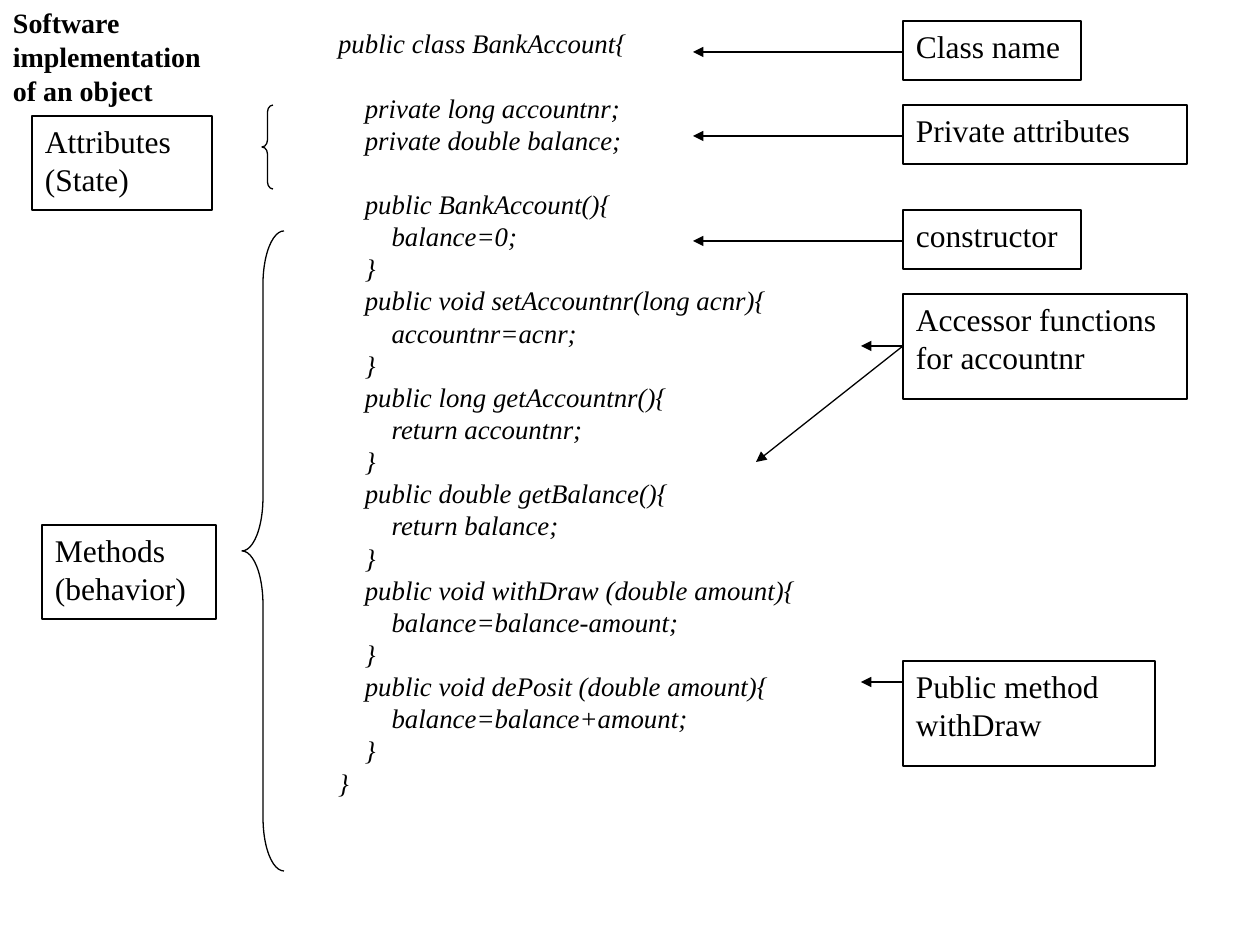
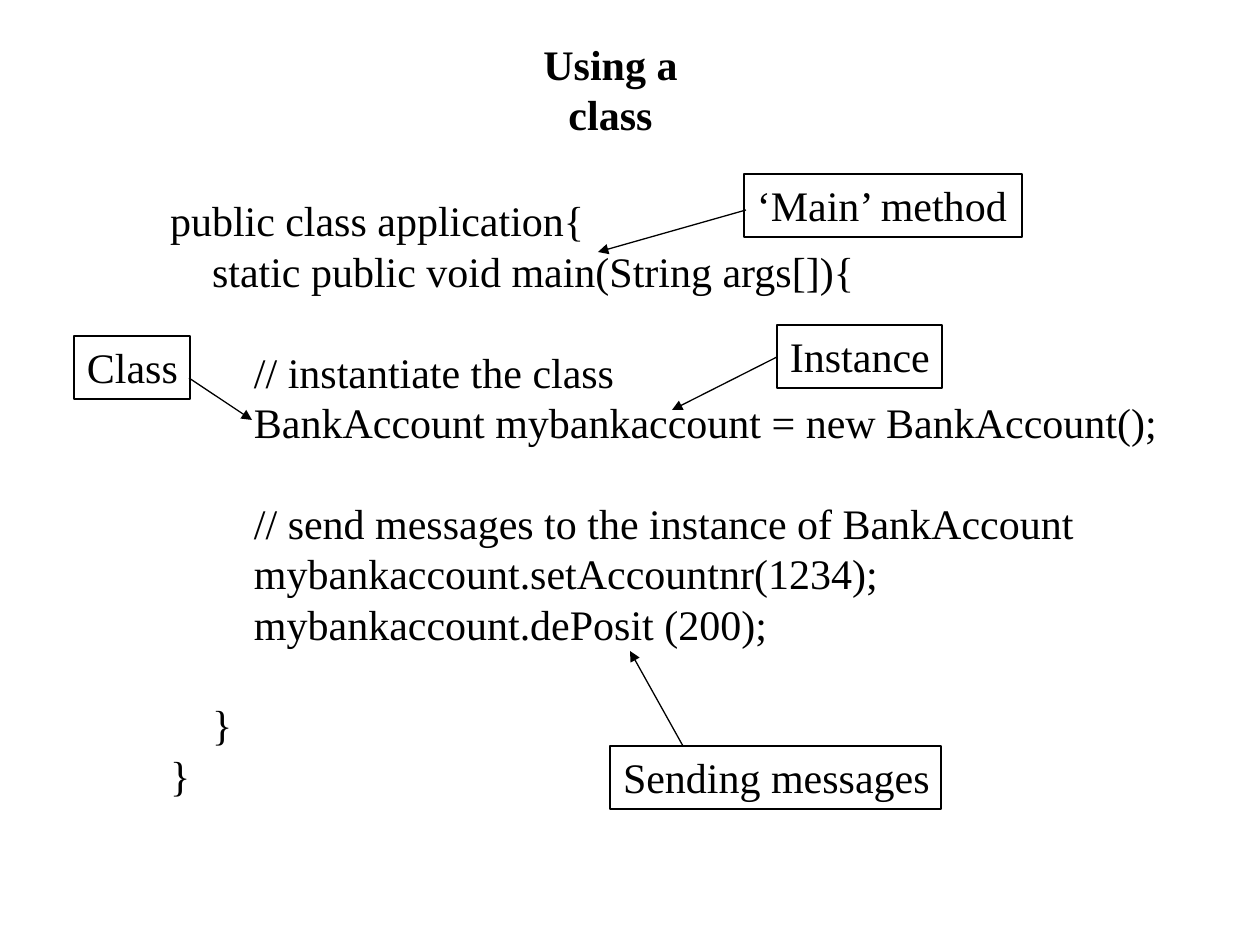
from lxml import etree
from pptx import Presentation
from pptx.dml.color import RGBColor
from pptx.enum.shapes import MSO_CONNECTOR, MSO_SHAPE
from pptx.enum.text import MSO_ANCHOR, MSO_AUTO_SIZE, PP_ALIGN
from pptx.oxml.ns import qn
from pptx.util import Emu, Pt

RECTANGLE, LEFT_BRACE = MSO_SHAPE.RECTANGLE, MSO_SHAPE.LEFT_BRACE
STRAIGHT = MSO_CONNECTOR.STRAIGHT
TOP, NO_AUTOFIT = MSO_ANCHOR.TOP, MSO_AUTO_SIZE.NONE
LEFT, CENTER = PP_ALIGN.LEFT, PP_ALIGN.CENTER

PX_PER_INCH = 126
SLIDE_SIZE = (1260, 945)
TITLE_ONLY = 5
FONT = "Times New Roman"
BLACK, WHITE = "000000", "FFFFFF"
LINE_WIDTH = Pt(0.75)
LINE_PITCH = 1.2  # line height as a multiple of the font size
INDENT = "    "

ACCOUNT_CODE = """\
public class BankAccount{

    private long accountnr;
    private double balance;

    public BankAccount(){
        balance=0;
    }
    public void setAccountnr(long acnr){
        accountnr=acnr;
    }
    public long getAccountnr(){
        return accountnr;
    }
    public double getBalance(){
        return balance;
    }
    public void withDraw (double amount){
        balance=balance-amount;
    }
    public void dePosit (double amount){
        balance=balance+amount;
    }
}"""

APPLICATION_CODE = """\
public class application{
    static public void main(String args[]){

        // instantiate the class
        BankAccount mybankaccount = new BankAccount();

        // send messages to the instance of BankAccount
        mybankaccount.setAccountnr(1234);
        mybankaccount.dePosit (200);

    }
}"""


def px(length):
    return Emu(round(length * 914400 / PX_PER_INCH))


def color(hex_code):
    return RGBColor.from_string(hex_code)


def set_outline(line):
    line.color.rgb = color(BLACK)
    line.width = LINE_WIDTH


def prepare_frame(shape, right_inset=13):
    frame = shape.text_frame
    frame.word_wrap = True
    frame.auto_size = NO_AUTOFIT
    frame.vertical_anchor = TOP
    frame.margin_left, frame.margin_right = px(13), px(right_inset)
    frame.margin_top = frame.margin_bottom = px(6)
    return frame


def format_paragraph(paragraph, size, bold=False, italic=False, alignment=LEFT):
    font = paragraph.font
    font.name, font.size = FONT, Pt(size)
    font.bold, font.italic = bold, italic
    font.color.rgb = color(BLACK)
    paragraph.alignment = alignment
    paragraph.line_spacing = Pt(size * LINE_PITCH)
    paragraph.space_before = paragraph.space_after = Pt(0)


def add_lines(frame, lines):
    """Write one paragraph per line and return the paragraphs."""
    frame.text = "\n".join(lines)
    return frame.paragraphs


def set_title(slide, text, box, size, alignment=LEFT, wrap=True):
    title = slide.shapes.title
    title.left, title.top, title.width, title.height = map(px, box)
    frame = prepare_frame(title)
    frame.word_wrap = wrap
    frame.text = text
    format_paragraph(frame.paragraphs[0], size, bold=True, alignment=alignment)


def add_code(slide, code, box, size, italic=False):
    """Turn leading spaces into indents and empty lines into space before."""
    frame = prepare_frame(slide.shapes.add_textbox(*map(px, box)))
    source = code.splitlines()
    numbers = [number for number, line in enumerate(source) if line]
    paragraphs = add_lines(frame, [source[number].strip() for number in numbers])
    for paragraph, number in zip(paragraphs, numbers):
        line = source[number]
        format_paragraph(paragraph, size, italic=italic)
        if number and not source[number - 1]:
            paragraph.space_before = Pt(size * LINE_PITCH)
        level = (len(line) - len(line.lstrip())) // len(INDENT)
        properties = paragraph._p.get_or_add_pPr()
        properties.set("marL", str(Pt(size * level)))
        properties.set("indent", "0")


def add_label(slide, text, box, size, fill=None):
    label = slide.shapes.add_shape(RECTANGLE, *map(px, box))
    label.shadow.inherit = False
    if fill:
        label.fill.solid()
        label.fill.fore_color.rgb = color(fill)
    else:
        label.fill.background()
    set_outline(label.line)
    frame = prepare_frame(label, right_inset=0)
    for paragraph in add_lines(frame, text.split("\n")):
        format_paragraph(paragraph, size)


def add_arrow(slide, start, end):
    arrow = slide.shapes.add_connector(STRAIGHT, *map(px, start + end))
    set_outline(arrow.line)
    properties = arrow._element.spPr
    etree.SubElement(properties.find(qn("a:ln")), qn("a:tailEnd"), type="triangle")
    etree.SubElement(properties, qn("a:effectLst"))


def add_brace(slide, box):
    brace = slide.shapes.add_shape(LEFT_BRACE, *map(px, box))
    brace.shadow.inherit = False
    brace.fill.background()
    set_outline(brace.line)
    width, height = box[2:]
    brace.adjustments[0] = height / 12 / width  # each curve is 1/12 of the height


def build_implementation_slide(presentation):
    slide = presentation.slides.add_slide(presentation.slide_layouts[TITLE_ONLY])
    set_title(slide, "Software implementation of an object", (0, 0, 242, 113), 16)
    add_code(slide, ACCOUNT_CODE, (325, 21, 588, 809), 15.3, italic=True)

    # Notes on both sides of the code
    notes = [
        ("Class name", (903, 21, 178, 59)),
        ("Private attributes", (903, 105, 284, 59)),
        ("constructor", (903, 210, 178, 59)),
        ("Accessor functions for accountnr", (903, 294, 284, 105)),
        ("Public method withDraw", (903, 661, 252, 105)),
        ("Attributes\n(State)", (32, 116, 180, 94)),
        ("Methods\n(behavior)", (42, 525, 174, 94)),
    ]
    for text, box in notes:
        add_label(slide, text, box, 18, WHITE)

    # Arrows from the right-hand notes to the code
    arrows = [(52, 693, 52), (136, 693, 136), (241, 693, 241),
              (346, 861, 346), (346, 756, 462), (682, 861, 682)]
    for start_y, end_x, end_y in arrows:
        add_arrow(slide, (903, start_y), (end_x, end_y))

    # Braces around the attributes and the methods
    add_brace(slide, (262, 105, 11, 84))
    add_brace(slide, (242, 231, 42, 640))


def build_usage_slide(presentation):
    slide = presentation.slides.add_slide(presentation.slide_layouts[TITLE_ONLY])
    set_title(slide, "Using a class", (484, 32, 253, 63), 24, CENTER, wrap=False)
    add_code(slide, APPLICATION_CODE, (157, 189, 1030, 668), 24)

    # Notes, each with its arrow into the code
    notes = [
        ("Class", (74, 336, 116, 63), (189, 378), (252, 420)),
        ("Instance", (777, 325, 165, 63), (777, 357), (672, 410)),
        ("Sending messages", (610, 746, 331, 63), (683, 746), (630, 651)),
        ("‘Main’ method", (744, 174, 278, 63), (746, 210), (598, 252)),
    ]
    for text, box, start, end in notes:
        add_label(slide, text, box, 24)
        add_arrow(slide, start, end)


def main():
    presentation = Presentation()
    presentation.slide_width, presentation.slide_height = map(px, SLIDE_SIZE)
    build_implementation_slide(presentation)
    build_usage_slide(presentation)
    presentation.save("out.pptx")


if __name__ == "__main__":
    main()
